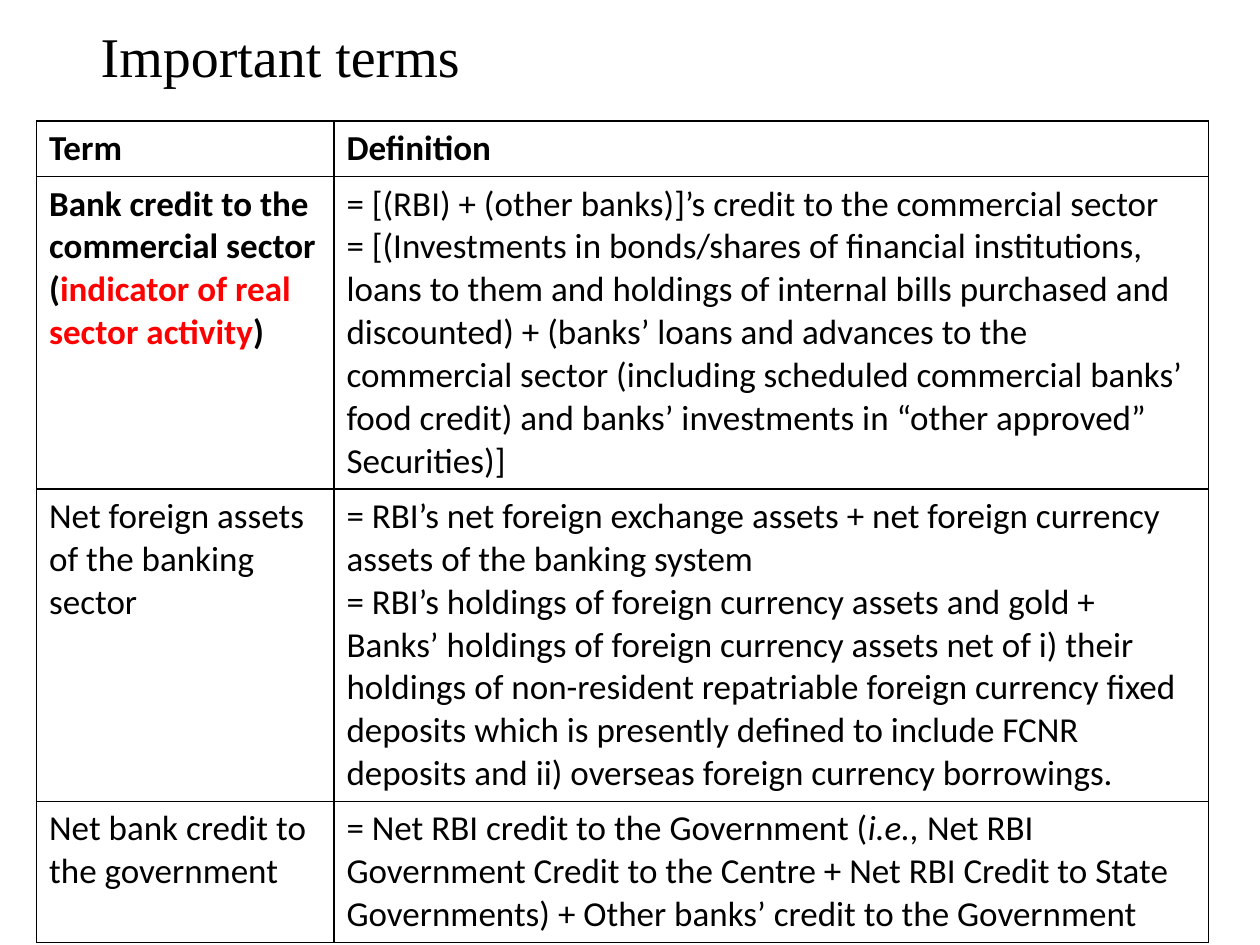
"""Build a slide that defines three banking terms in a bordered table."""
from dataclasses import dataclass

from lxml import etree
from pptx import Presentation
from pptx.dml.color import RGBColor
from pptx.enum import text as t
from pptx.oxml import ns
from pptx.util import Inches, Pt

BLACK = RGBColor(0x00, 0x00, 0x00)
RED = RGBColor(0xFF, 0x00, 0x00)
WIDTH, HEIGHT = Inches(10), Inches(7.5)
LINE_HEIGHT, ROW_PADDING = Inches(0.34), Inches(0.1)
COLUMN_SHARES = (0.236, 0.694)


@dataclass(frozen=True)
class Span:
    """A stretch of text in one format."""
    words: str
    bold: bool = False
    italic: bool = False
    color: RGBColor = BLACK


@dataclass(frozen=True)
class Entry:
    """A table row: paragraphs of the term and definition, and its text lines."""
    term: list[list[Span]]
    definition: list[list[Span]]
    lines: int


ENTRIES = [
    Entry([[Span("Term", bold=True)]], [[Span("Definition", bold=True)]], 1),
    Entry(
        [[Span("Bank credit to the commercial sector", bold=True)],
         [Span("(", bold=True),
          Span("indicator of real sector activity", bold=True, color=RED),
          Span(")", bold=True)]],
        [[Span("= [(RBI) + (other banks)]’s credit to the commercial sector")],
         [Span("= [(Investments in bonds/shares of financial institutions, loans to "
               "them and holdings of internal bills purchased and discounted) + "
               "(banks’ loans and advances to the commercial sector (including "
               "scheduled commercial banks’ food credit) and banks’ investments in "
               "“other approved” Securities)]")]],
        7),
    Entry(
        [[Span("Net foreign assets of the banking sector")]],
        [[Span("= RBI’s net foreign exchange assets + net foreign currency assets of "
               "the banking system")],
         [Span("= RBI’s holdings of foreign currency assets and gold + Banks’ holdings "
               "of foreign currency assets net of i) their holdings of non-resident "
               "repatriable foreign currency fixed deposits which is presently defined "
               "to include FCNR deposits and ii) overseas foreign currency "
               "borrowings.")]],
        7),
    Entry(
        [[Span("Net bank credit to the government")]],
        [[Span("= Net RBI credit to the Government ("),
          Span("i.e., ", italic=True),
          Span("Net RBI Government Credit to the Centre + Net RBI Credit to State "
               "Governments) + Other banks’ credit to the Government")]],
        3),
]


def write(frame, paragraphs: list[list[Span]], *, font: str, size: int,
          spacing: float = 1.0) -> None:
    """Fill a text frame with formatted paragraphs."""
    for index, spans in enumerate(paragraphs):
        para = frame.add_paragraph() if index else frame.paragraphs[0]
        para.alignment = t.PP_ALIGN.LEFT
        para.line_spacing = spacing
        for span in spans:
            run = para.add_run()
            run.text = span.words
            run.font.name = font
            run.font.size = Pt(size)
            run.font.bold = span.bold
            run.font.italic = span.italic
            run.font.color.rgb = span.color


def draw_borders(cell, color: RGBColor, points: float) -> None:
    """Draw a solid line on all four sides of a cell."""
    properties = cell._tc.get_or_add_tcPr()
    for index, side in enumerate(("lnL", "lnR", "lnT", "lnB")):
        line = etree.Element(ns.qn(f"a:{side}"), w=str(Pt(points)))
        fill = etree.SubElement(line, ns.qn("a:solidFill"))
        etree.SubElement(fill, ns.qn("a:srgbClr"), val=str(color))
        properties.insert(index, line)


def add_title(page, title: str) -> None:
    """Place the slide title."""
    box = page.shapes.add_textbox(int(WIDTH * 0.07), int(HEIGHT * 0.019),
                                  int(WIDTH * 0.862), int(HEIGHT * 0.087))
    box.text_frame.word_wrap = True
    box.text_frame.vertical_anchor = t.MSO_ANCHOR.MIDDLE
    write(box.text_frame, [[Span(title)]], font="Times New Roman", size=32, spacing=0.9)


def add_terms(page, entries: list[Entry]) -> None:
    """Place the table, each row as tall as its lines of text."""
    widths = [int(WIDTH * share) for share in COLUMN_SHARES]
    heights = [entry.lines * LINE_HEIGHT + ROW_PADDING for entry in entries]
    table = page.shapes.add_table(len(entries), len(widths), int(WIDTH * 0.029),
                                  int(HEIGHT * 0.128), sum(widths), sum(heights)).table
    table.first_row = table.horz_banding = False
    for column, width in zip(table.columns, widths):
        column.width = width
    for row, height, entry in zip(table.rows, heights, entries):
        row.height = height
        for cell, paragraphs in zip(row.cells, (entry.term, entry.definition)):
            cell.fill.background()
            draw_borders(cell, BLACK, 1)
            write(cell.text_frame, paragraphs, font="Calibri", size=20)


def main() -> None:
    """Build and save the deck."""
    deck = Presentation()
    deck.slide_width, deck.slide_height = WIDTH, HEIGHT
    page = deck.slides.add_slide(deck.slide_layouts[6])
    add_title(page, "Important terms")
    add_terms(page, ENTRIES)
    deck.save("out.pptx")


if __name__ == "__main__":
    main()
